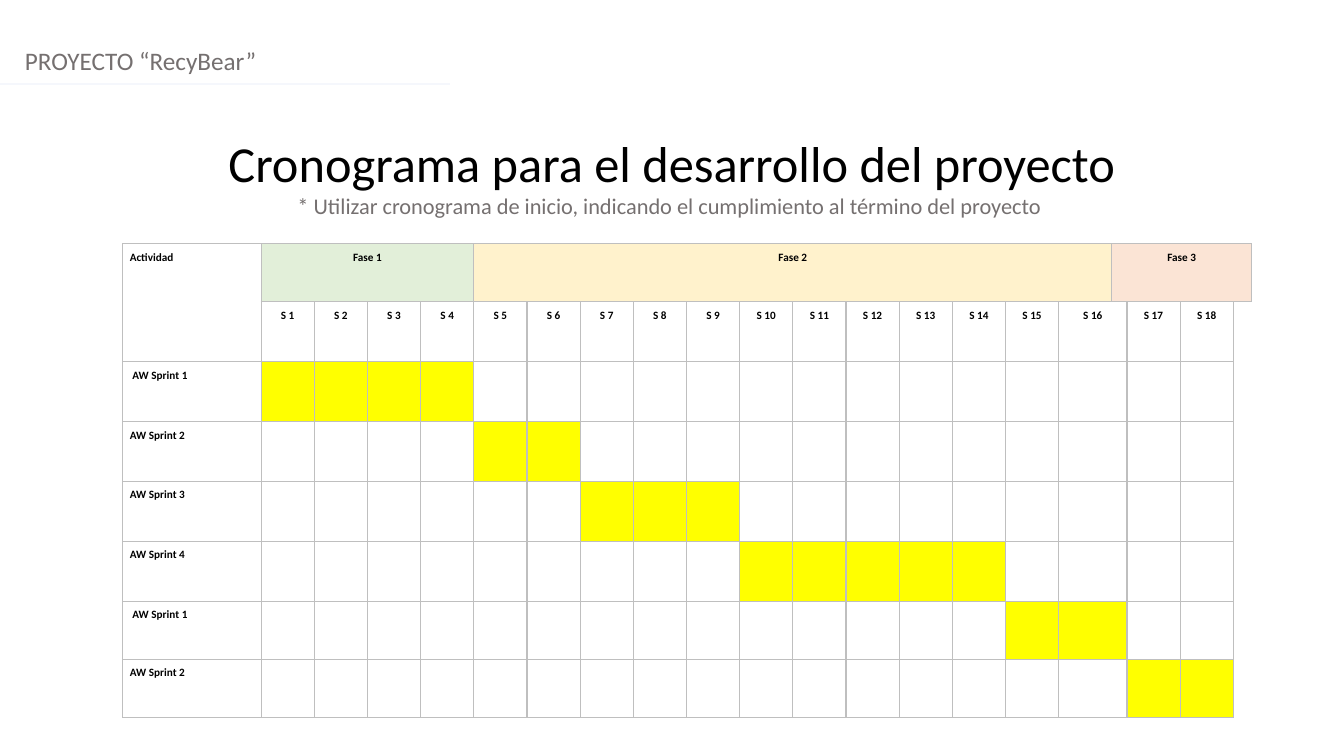
from dataclasses import dataclass

from lxml import etree
from pptx import Presentation
from pptx.dml.color import RGBColor
from pptx.enum.shapes import MSO_CONNECTOR
from pptx.enum.text import MSO_AUTO_SIZE, PP_ALIGN
from pptx.oxml.ns import qn
from pptx.util import Cm, Pt

STRAIGHT = MSO_CONNECTOR.STRAIGHT
GROW = MSO_AUTO_SIZE.SHAPE_TO_FIT_TEXT
LEFT, CENTER, JUSTIFY = PP_ALIGN.LEFT, PP_ALIGN.CENTER, PP_ALIGN.JUSTIFY


@dataclass(frozen=True)
class Theme:
    font: str = "Calibri"
    ink: str = "000000"
    muted: str = "757070"
    rule: str = "F5F7FC"
    grid: str = "BFBFBF"
    done: str = "FFFF00"
    phase_1: str = "E2EFD9"
    phase_2: str = "FFF2CC"
    phase_3: str = "FBE4D5"
    header_size: float = 18
    title_size: float = 36
    note_size: float = 16
    cell_size: float = 8


THEME = Theme()

WEEK_COLUMNS = [*range(1, 17), 18, 19]
SPLIT_WEEK = 16
SPARE_COLUMN = 20
COLUMN_WIDTHS = [3.49] + [1.34] * 16 + [0.38] + [1.34] * 2 + [0.38]
ROW_HEIGHTS = [1.46] + [1.51] * 5 + [1.46] * 2
PHASES = [
    ("Fase 1", 1, 4, THEME.phase_1),
    ("Fase 2", 5, 16, THEME.phase_2),
    ("Fase 3", 17, 20, THEME.phase_3),
]
SPRINTS = [
    (" AW Sprint 1", 1, 4),
    ("AW Sprint 2", 5, 6),
    ("AW Sprint 3", 7, 9),
    ("AW Sprint 4", 10, 14),
    (" AW Sprint 1", 15, 16),
    ("AW Sprint 2", 17, 18),
]


def style_paragraph(paragraph, size, color, align, bold=False):
    paragraph.alignment = align
    for run in paragraph.runs:
        run.font.name = THEME.font
        run.font.size = Pt(size)
        run.font.bold = bold
        run.font.color.rgb = RGBColor.from_string(color)


def add_text(slide, left, top, width, height, lines, align):
    frame = slide.shapes.add_textbox(Cm(left), Cm(top), Cm(width), Cm(height)).text_frame
    frame.word_wrap = True
    frame.auto_size = GROW
    frame.text = "\n".join(text for text, _, _ in lines)
    for paragraph, (_, size, color) in zip(frame.paragraphs, lines):
        style_paragraph(paragraph, size, color, align)


def add_rule(slide, top, width):
    rule = slide.shapes.add_connector(STRAIGHT, 0, Cm(top), Cm(width), Cm(top))
    rule.line.color.rgb = RGBColor.from_string(THEME.rule)
    rule.line.width = Pt(1.25)
    etree.SubElement(rule._element.spPr, qn("a:effectLst"))


def set_borders(cell, visible):
    properties = cell._tc.get_or_add_tcPr()
    for side in "LRTB":
        border = etree.SubElement(properties, qn(f"a:ln{side}"), w=str(Pt(1)))
        if side in visible:
            fill = etree.SubElement(border, qn("a:solidFill"))
            etree.SubElement(fill, qn("a:srgbClr"), val=THEME.grid)
        else:
            etree.SubElement(border, qn("a:noFill"))


def prepare_cell(cell, borders):
    cell.margin_left = cell.margin_right = Cm(0.18)
    cell.margin_top = cell.margin_bottom = 0
    set_borders(cell, borders)
    cell.fill.background()


def fill_cell(cell, color):
    cell.fill.solid()
    cell.fill.fore_color.rgb = RGBColor.from_string(color)


def write_cell(cell, text, align):
    cell.text_frame.text = text
    paragraph = cell.text_frame.paragraphs[0]
    paragraph.line_spacing = 1.5
    style_paragraph(paragraph, THEME.cell_size, THEME.ink, align, bold=True)


def visible_borders(row, column):
    if column < SPARE_COLUMN or row == 0:
        return "LRTB"
    return "LT" if row == 1 else "L"


def add_schedule(slide, left, top):
    schedule = slide.shapes.add_table(
        len(ROW_HEIGHTS), len(COLUMN_WIDTHS), Cm(left), Cm(top),
        Cm(sum(COLUMN_WIDTHS)), Cm(sum(ROW_HEIGHTS)),
    ).table
    schedule.first_row = schedule.horz_banding = False
    for column, width in zip(schedule.columns, COLUMN_WIDTHS):
        column.width = Cm(width)
    for row, height in zip(schedule.rows, ROW_HEIGHTS):
        row.height = Cm(height)
    for row in range(len(ROW_HEIGHTS)):
        for column in range(len(COLUMN_WIDTHS)):
            prepare_cell(schedule.cell(row, column), visible_borders(row, column))
        if row > 0:
            schedule.cell(row, SPLIT_WEEK).merge(schedule.cell(row, SPLIT_WEEK + 1))

    schedule.cell(0, 0).merge(schedule.cell(1, 0))
    write_cell(schedule.cell(0, 0), "Actividad", JUSTIFY)
    for name, first, last, color in PHASES:
        phase = schedule.cell(0, first)
        phase.merge(schedule.cell(0, last))
        write_cell(phase, name, CENTER)
        fill_cell(phase, color)
    for week, column in enumerate(WEEK_COLUMNS, start=1):
        write_cell(schedule.cell(1, column), f"S {week}", CENTER)
    for row, (name, first, last) in enumerate(SPRINTS, start=2):
        write_cell(schedule.cell(row, 0), name, JUSTIFY)
        for column in WEEK_COLUMNS[first - 1:last]:
            fill_cell(schedule.cell(row, column), THEME.done)


def main():
    deck = Presentation()
    deck.slide_width, deck.slide_height = Cm(33.87), Cm(19.05)
    slide = deck.slides.add_slide(deck.slide_layouts[6])
    add_text(slide, 0.38, 1.02, 33.87, 1.03,
             [("PROYECTO “RecyBear”", THEME.header_size, THEME.muted)], LEFT)
    add_text(slide, 0, 3.2, 33.87, 2.49, [
        ("Cronograma para el desarrollo del proyecto", THEME.title_size, THEME.ink),
        ("* Utilizar cronograma de inicio, indicando el cumplimiento al término del proyecto ",
         THEME.note_size, THEME.muted),
    ], CENTER)
    add_rule(slide, 2.11, 11.35)
    add_schedule(slide, 3.09, 6.14)
    deck.save("out.pptx")


if __name__ == "__main__":
    main()
